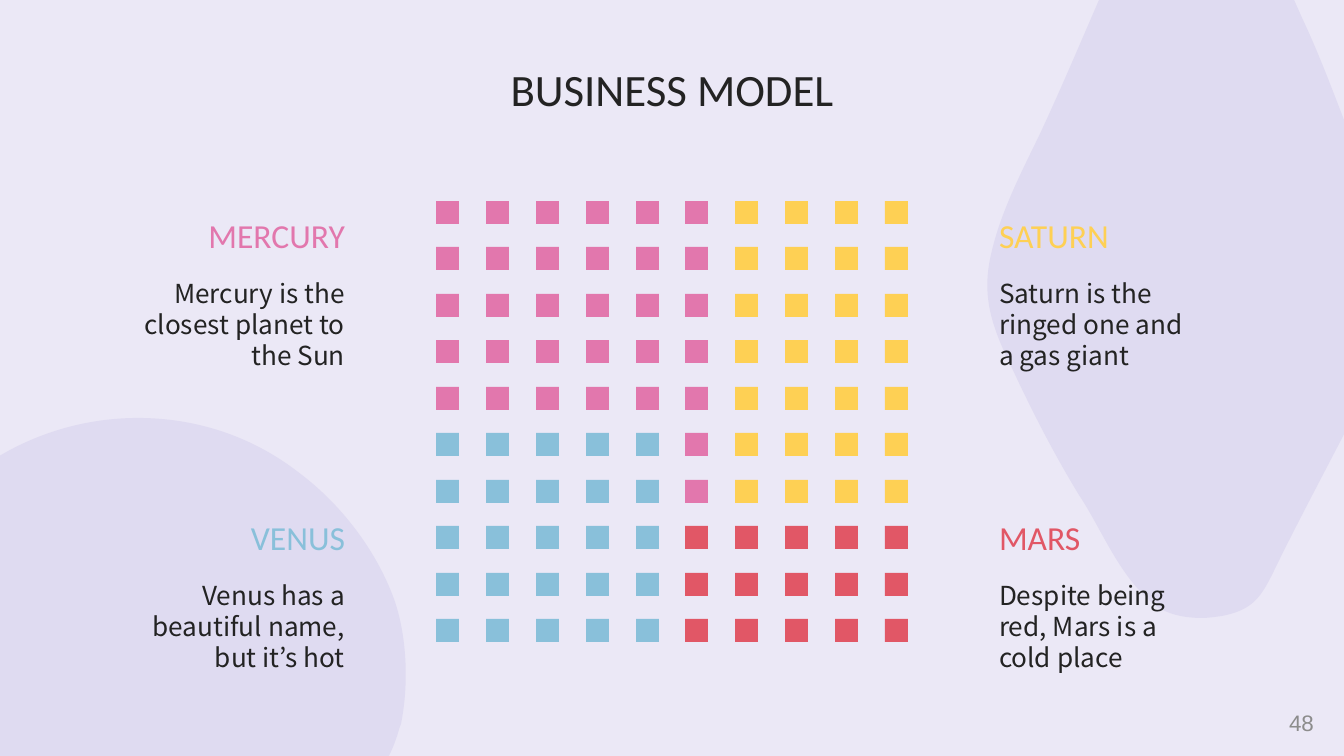
import lxml.etree
import pptx
import pptx.dml.color
import pptx.enum.shapes
import pptx.enum.text
import pptx.oxml.ns
import pptx.util

PX = 914400 / 134.4
INK, BLOB, BACKGROUND = "232323", "DFDBF1", "EBE8F6"
PINK, BLUE, YELLOW, RED = "E277AD", "89C0DA", "FED054", "E15766"
HEAD_FONT, BODY_FONT = "Calibri", "Noto Sans CJK KR"
ALIGN = pptx.enum.text.PP_ALIGN
ANCHOR = pptx.enum.text.MSO_ANCHOR

# Each blob: a start point, then two control points and an end point per curve
RIGHT_BLOB = [
    (1200, -85),
    (1150, -85), (1121, -50), (1103, -9),
    (1082, 39), (1062, 87), (1039, 136),
    (1020, 175), (1000, 214), (991, 255),
    (981, 298), (993, 329), (1012, 368),
    (1032, 411), (1054, 454), (1079, 495),
    (1101, 528), (1117, 571), (1148, 599),
    (1161, 613), (1181, 618), (1202, 618),
    (1208, 618), (1215, 617), (1222, 616),
    (1253, 610), (1261, 597), (1273, 573),
    (1304, 509), (1339, 446), (1370, 383),
    (1384, 353), (1398, 324), (1399, 292),
    (1399, 243), (1379, 204), (1360, 160),
    (1341, 114), (1325, 67), (1304, 22),
    (1285, -19), (1265, -79), (1208, -83),
    (1206, -85), (1203, -85), (1200, -85),
]
LEFT_BLOB = [
    (138, 418),
    (35, 418), (-66, 477), (-110, 582),
    (-132, 634), (-146, 700), (-118, 753),
    (-105, 778), (-79, 797), (-52, 808),
    (-34, 816), (-16, 817), (1, 817),
    (22, 817), (40, 814), (62, 812),
    (81, 810), (99, 809), (118, 809),
    (128, 809), (137, 809), (146, 810),
    (179, 812), (220, 818), (259, 818),
    (293, 818), (325, 813), (351, 798),
    (372, 785), (388, 763), (396, 739),
    (398, 734), (399, 728), (401, 724),
    (409, 684), (407, 636), (394, 599),
    (376, 550), (341, 504), (298, 472),
    (250, 435), (194, 418), (138, 418),
]

# Name, description, colour, left, top, alignment
PLANETS = [
    ("SATURN", "Saturn is the ringed one and\va gas giant", YELLOW, 986, 201, ALIGN.LEFT),
    ("MERCURY", "Mercury is the closest planet to the Sun", PINK, 121, 201, ALIGN.RIGHT),
    ("VENUS", "Venus has a beautiful name, but it’s hot", BLUE, 121, 503, ALIGN.RIGHT),
    ("MARS", "Despite being red, Mars is a cold place", RED, 986, 503, ALIGN.LEFT),
]


def px(n):
    return pptx.util.Emu(round(n * PX))


def rgb(value):
    return pptx.dml.color.RGBColor.from_string(value)


def paint(sp, color):
    sp.shadow.inherit = False
    sp.fill.solid()
    sp.fill.fore_color.rgb = rgb(color)
    sp.line.fill.background()


def add_blob(s, points):
    qn = pptx.oxml.ns.qn
    builder = s.shapes.build_freeform(*points[0], scale=PX)
    builder.add_line_segments(points[1:], close=True)
    sp = builder.convert_to_shape()
    # Turn every three line segments into one cubic curve
    lines = list(sp._element.iter(qn("a:lnTo")))
    for i in range(0, len(points) - 1, 3):
        curve = lxml.etree.Element(qn("a:cubicBezTo"))
        lines[i].addprevious(curve)
        for line in lines[i:i + 3]:
            curve.append(line[0])
    for line in lines:
        line.getparent().remove(line)
    paint(sp, BLOB)


def add_square(s, x, y, color):
    shape_type = pptx.enum.shapes.MSO_SHAPE.RECTANGLE
    paint(s.shapes.add_shape(shape_type, px(x), px(y), px(23), px(23)), color)


def add_text(s, text, box, size, font, color, align, anchor=ANCHOR.TOP, inset=13):
    tf = s.shapes.add_textbox(*map(px, box)).text_frame
    tf.word_wrap = True
    tf.vertical_anchor = anchor
    tf.margin_left = tf.margin_right = px(13)
    tf.margin_top = tf.margin_bottom = px(inset)
    p = tf.paragraphs[0]
    p.text = text
    p.alignment = align
    for r in p.runs:
        r.font.size = pptx.util.Pt(size)
        r.font.name = font
        r.font.color.rgb = rgb(color)


def square_color(row, col):
    if row < 5:
        return PINK if col < 6 else YELLOW
    if col < 5:
        return BLUE
    if row < 7:
        return PINK if col == 5 else YELLOW
    return RED


def main():
    prs = pptx.Presentation()
    prs.slide_width, prs.slide_height = px(1344), px(756)
    s = prs.slides.add_slide(prs.slide_layouts[6])

    # Background
    s.background.fill.solid()
    s.background.fill.fore_color.rgb = rgb(BACKGROUND)
    add_blob(s, RIGHT_BLOB)
    add_blob(s, LEFT_BLOB)

    # Title
    add_text(s, "BUSINESS MODEL", (46, 49, 1252, 85), 24, HEAD_FONT, INK, ALIGN.CENTER)

    # Ten by ten grid of squares
    for row in range(10):
        for col in range(10):
            x, y = 436 + round(449 * col / 9), 201 + round(418 * row / 9)
            add_square(s, x, y, square_color(row, col))

    # Planet labels
    for name, description, color, x, y, align in PLANETS:
        add_text(s, name, (x, y, 237, 69), 18, HEAD_FONT, color, align, ANCHOR.MIDDLE)
        add_text(s, description, (x, y + 63, 237, 81), 14, BODY_FONT, INK, align)

    # Slide number
    add_text(s, "48", (1025, 703, 302, 40), 12, "Arial", "8C8C8C", ALIGN.RIGHT, ANCHOR.MIDDLE, 7)

    prs.save("out.pptx")


if __name__ == "__main__":
    main()
